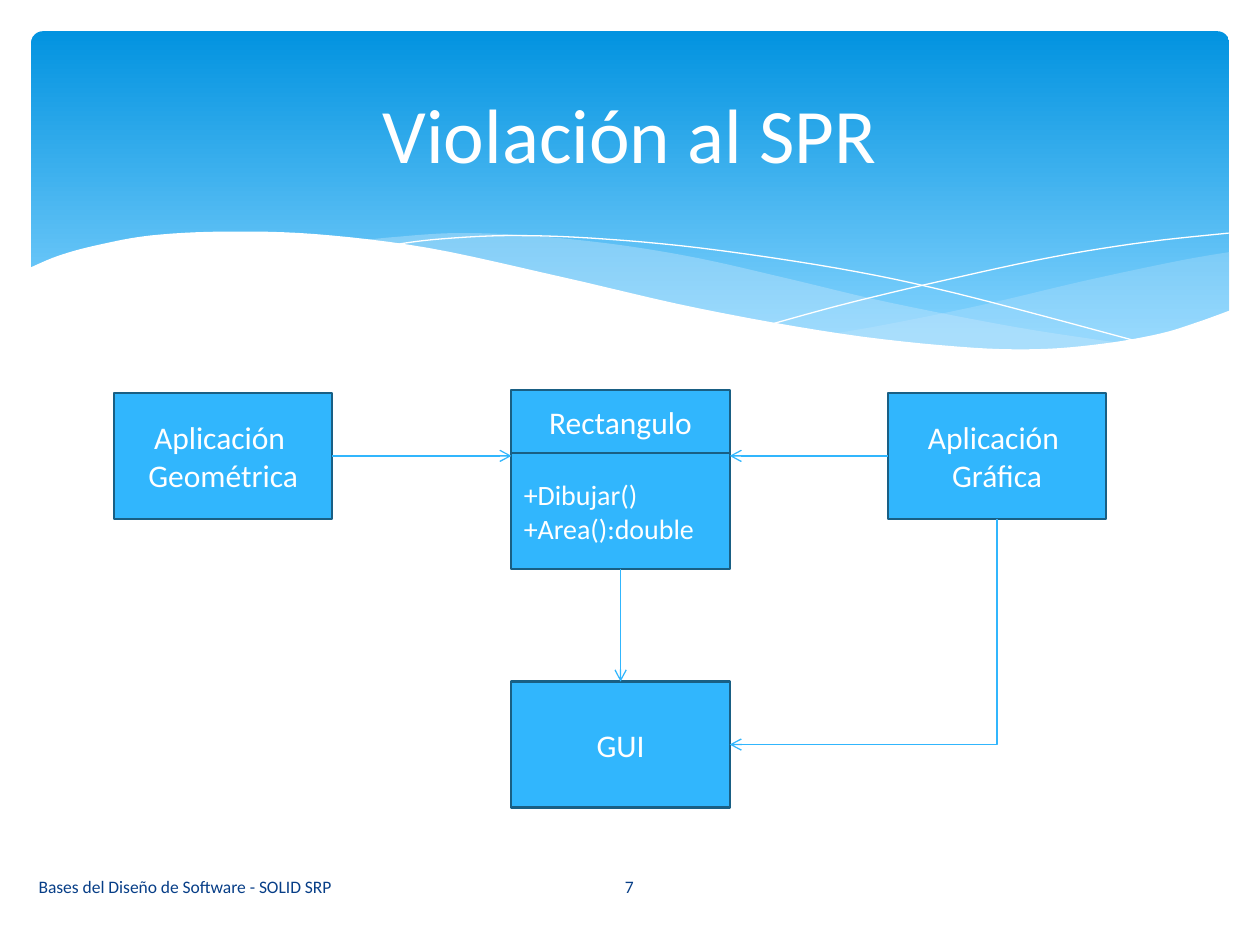
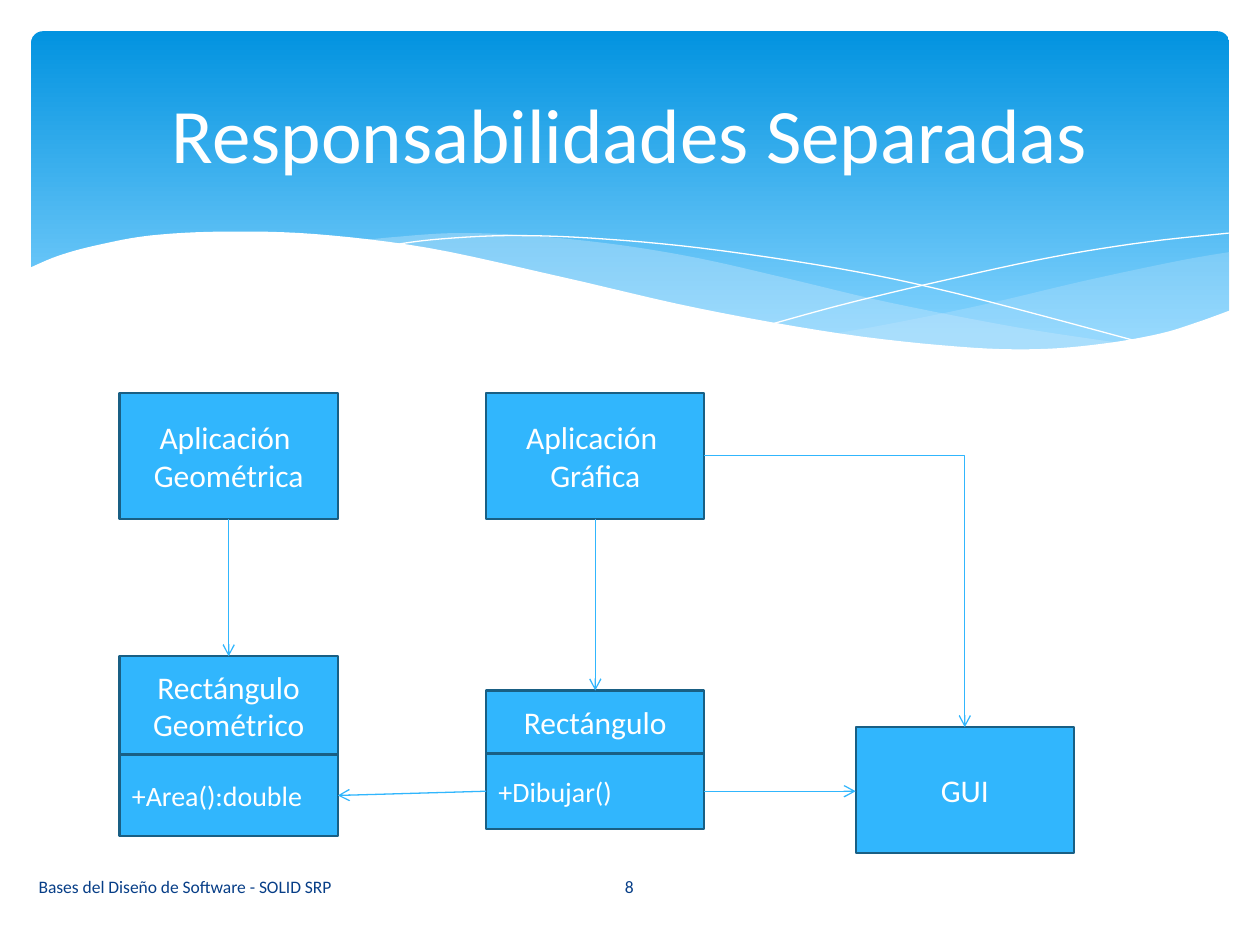
import dataclasses

import lxml.etree
import pptx
import pptx.dml.color
import pptx.enum.dml
import pptx.enum.shapes
import pptx.enum.text
import pptx.oxml.ns
import pptx.util

Cm = pptx.util.Cm
Pt = pptx.util.Pt
qn = pptx.oxml.ns.qn
Rgb = pptx.dml.color.RGBColor.from_string
Align = pptx.enum.text.PP_ALIGN
Preset = pptx.enum.shapes.MSO_SHAPE
ConnectorKind = pptx.enum.shapes.MSO_CONNECTOR

TOP, LEFT, BOTTOM, RIGHT = range(4)


@dataclasses.dataclass(frozen=True)
class Theme:
    font: str = "Calibri"
    white: str = "FFFFFF"
    band_top: str = "0293E0"
    band_bottom: str = "83D3FE"
    wave: str = "C6E7FC"
    box: str = "31B6FD"
    box_edge: str = "195F84"
    footer: str = "073E87"
    title_size: int = 44
    name_size: int = 18
    member_size: int = 16
    footer_size: int = 10
    edge_width: float = 1.25
    arrow_width: float = 0.75


THEME = Theme()
FOOTER = "Bases del Diseño de Software - SOLID SRP"
BOX_WIDTH, BOX_HEIGHT, NAME_HEIGHT = 4.4, 2.54, 1.27

RIGHT_WAVE_TOP = [(24.79, 5.08), (23.75, 5.26), (21.87, 5.66), (19.79, 6.15),
                  (17.93, 6.53), (16.79, 6.73)]
RIGHT_WAVE_BOTTOM = [(16.79, 6.73), (18.26, 6.91), (19.53, 7.04), (20.93, 7.04),
                     (22.15, 6.96), (23.19, 6.78), (24.1, 6.53), (24.79, 6.27)]
MIDDLE_WAVE_TOP = [(22.68, 6.93), (20.5, 6.6), (17.93, 6.1), (15.98, 5.64),
                   (14.1, 5.21), (12.42, 4.93), (10.67, 4.75), (9.17, 4.7),
                   (7.95, 4.78), (7.26, 4.85)]
MIDDLE_WAVE_BOTTOM = [(7.26, 4.85), (9.19, 5.16), (11.4, 5.64), (14.38, 6.3),
                      (16.51, 6.71), (18.34, 6.96), (20.22, 7.06), (21.54, 7.04),
                      (22.68, 6.93)]
FALLING_LINE = [(7.85, 4.95), (8.74, 4.83), (10.19, 4.75), (11.91, 4.8),
                (14.12, 5.0), (16.89, 5.41), (19.3, 5.92), (23.04, 6.91)]
RISING_LINE = [(15.57, 6.53), (17.07, 6.12), (19.0, 5.66), (21.23, 5.18),
               (23.11, 4.88), (24.77, 4.7)]
PAGE_EDGE = [(0.58, 5.41), (1.17, 5.16), (1.93, 4.95), (3.02, 4.75), (4.5, 4.67),
             (6.35, 4.72), (8.64, 5.0), (11.35, 5.59), (14.1, 6.22), (16.97, 6.73),
             (19.33, 6.99), (20.9, 7.04), (22.23, 6.93), (23.37, 6.73),
             (24.13, 6.5), (24.82, 6.25)]
PAGE_CORNERS = [(24.82, 8.36), (0.58, 8.36)]


def smooth_curve(knots, steps=6):
    padded = [knots[0], *knots, knots[-1]]
    points = []
    for a, b, c, d in zip(padded, padded[1:], padded[2:], padded[3:]):
        for step in range(steps):
            t = step / steps
            points.append(tuple(
                q + t * (r - p) / 2
                + t**2 * (2 * p - 5 * q + 4 * r - s) / 2
                + t**3 * (3 * q - p - 3 * r + s) / 2
                for p, q, r, s in zip(a, b, c, d)))
    return points + [knots[-1]]


def add_outline(slide, points, closed):
    corners = [(Cm(x), Cm(y)) for x, y in points]
    builder = slide.shapes.build_freeform(*corners[0])
    builder.add_line_segments(corners[1:], close=closed)
    shape = builder.convert_to_shape()
    shape.shadow.inherit = False
    return shape


def add_area(slide, points, color, opacity=100):
    shape = add_outline(slide, points, True)
    shape.line.fill.background()
    shape.fill.solid()
    shape.fill.fore_color.rgb = Rgb(color)
    if opacity < 100:
        color_element = shape.element.spPr.find(".//" + qn("a:srgbClr"))
        alpha = lxml.etree.SubElement(color_element, qn("a:alpha"))
        alpha.set("val", str(opacity * 1000))


def add_hairline(slide, knots):
    shape = add_outline(slide, smooth_curve(knots), False)
    shape.fill.background()
    shape.line.color.rgb = Rgb(THEME.white)
    shape.line.width = Pt(0)


def add_band(slide):
    band = slide.shapes.add_shape(
        Preset.ROUNDED_RECTANGLE, Cm(0.63), Cm(0.63), Cm(24.15), Cm(6.86))
    band.adjustments[0] = 0.034
    band.shadow.inherit = False
    band.line.fill.background()
    band.fill.gradient()
    band.fill.gradient_angle = 270
    colors = (THEME.band_top, THEME.band_bottom)
    for stop, color, position in zip(band.fill.gradient_stops, colors, (0, 0.9)):
        stop.color.rgb = Rgb(color)
        stop.position = position

    add_area(slide, smooth_curve(RIGHT_WAVE_TOP) + smooth_curve(RIGHT_WAVE_BOTTOM),
             THEME.wave, 29)
    add_area(slide, smooth_curve(MIDDLE_WAVE_TOP) + smooth_curve(MIDDLE_WAVE_BOTTOM),
             THEME.wave, 40)
    add_hairline(slide, FALLING_LINE)
    add_hairline(slide, RISING_LINE)
    add_area(slide, smooth_curve(PAGE_EDGE) + PAGE_CORNERS, THEME.white)


def write_lines(shape, lines, size, color, alignment):
    frame = shape.text_frame
    frame.word_wrap = True
    frame.vertical_anchor = pptx.enum.text.MSO_ANCHOR.MIDDLE
    for index, line in enumerate(lines):
        paragraph = frame.add_paragraph() if index else frame.paragraphs[0]
        paragraph.alignment = alignment
        run = paragraph.add_run()
        run.text = line
        run.font.name = THEME.font
        run.font.size = Pt(size)
        run.font.color.rgb = Rgb(color)


def add_label(slide, left, top, width, height, text, size, color, alignment):
    label = slide.shapes.add_textbox(Cm(left), Cm(top), Cm(width), Cm(height))
    write_lines(label, [text], size, color, alignment)


def add_box(slide, left, top, lines, height=BOX_HEIGHT, size=THEME.name_size,
            alignment=Align.CENTER):
    box = slide.shapes.add_shape(
        Preset.RECTANGLE, Cm(left), Cm(top), Cm(BOX_WIDTH), Cm(height))
    box.shadow.inherit = False
    box.fill.solid()
    box.fill.fore_color.rgb = Rgb(THEME.box)
    box.line.color.rgb = Rgb(THEME.box_edge)
    box.line.width = Pt(THEME.edge_width)
    write_lines(box, lines, size, THEME.white, alignment)
    return box


def add_class(slide, left, top, name, members, members_height, name_height=NAME_HEIGHT):
    name_box = add_box(slide, left, top, name, name_height)
    members_box = add_box(slide, left, top + name_height, members, members_height,
                          THEME.member_size, Align.LEFT)
    return name_box, members_box


def side_point(box, side):
    across = {LEFT: 0, RIGHT: box.width}.get(side, box.width // 2)
    down = {TOP: 0, BOTTOM: box.height}.get(side, box.height // 2)
    return box.left + across, box.top + down


def add_arrow(slide, source, source_side, target, target_side, level=False, bent=False):
    start = side_point(source, source_side)
    end = side_point(target, target_side)
    if level:
        end = end[0], start[1]
    kind = ConnectorKind.ELBOW if bent else ConnectorKind.STRAIGHT
    arrow = slide.shapes.add_connector(kind, *start, *end)
    arrow.begin_connect(source, source_side)
    if not level:
        arrow.end_connect(target, target_side)
    arrow.line.color.rgb = Rgb(THEME.box)
    arrow.line.width = Pt(THEME.arrow_width)
    line = arrow.line._get_or_add_ln()
    lxml.etree.SubElement(line, qn("a:tailEnd")).set("type", "arrow")
    lxml.etree.SubElement(arrow.element.spPr, qn("a:effectLst"))
    if bent:
        arrow.element.spPr.find(qn("a:prstGeom")).set("prst", "bentConnector2")
        if source_side == BOTTOM:
            turn_quarter(arrow)
    return arrow


def turn_quarter(arrow):
    width, height = arrow.width, arrow.height
    arrow.left += (width - height) // 2
    arrow.top += (height - width) // 2
    arrow.width, arrow.height = height, width
    transform = arrow.element.spPr.find(qn("a:xfrm"))
    transform.attrib.pop("flipH", None)
    transform.set("rot", "5400000")


def add_slide(presentation, title, number):
    slide = presentation.slides.add_slide(presentation.slide_layouts[6])
    add_band(slide)
    add_label(slide, 1.27, 0.94, 22.86, 3.48, title,
              THEME.title_size, THEME.white, Align.CENTER)
    add_label(slide, 0.53, 17.37, 10.52, 1.02, FOOTER,
              THEME.footer_size, THEME.footer, Align.LEFT)
    add_label(slide, 11.07, 17.37, 3.23, 1.02, str(number),
              THEME.footer_size, THEME.footer, Align.CENTER)
    return slide


def add_applications(slide, geometric_left, graphic_left):
    return [add_box(slide, left, 7.92, ["Aplicación ", kind])
            for left, kind in ((geometric_left, "Geométrica"), (graphic_left, "Gráfica"))]


def build_violation(presentation):
    slide = add_slide(presentation, "Violación al SPR", 7)
    geometric, graphic = add_applications(slide, 2.3, 17.9)
    gui = add_box(slide, 10.31, 13.74, ["GUI"])
    _, members = add_class(slide, 10.31, 7.87, ["Rectangulo"],
                           ["+Dibujar()", "+Area():double"], 2.34)
    add_arrow(slide, geometric, RIGHT, members, LEFT, level=True)
    add_arrow(slide, graphic, LEFT, members, RIGHT, level=True)
    add_arrow(slide, members, BOTTOM, gui, TOP)
    add_arrow(slide, graphic, BOTTOM, gui, RIGHT, bent=True)


def build_separation(presentation):
    slide = add_slide(presentation, "Responsabilidades Separadas", 8)
    geometric, graphic = add_applications(slide, 2.41, 9.8)
    gui = add_box(slide, 17.25, 14.66, ["GUI"])
    rectangle, drawing = add_class(slide, 9.8, 13.92, ["Rectángulo"],
                                   ["+Dibujar()"], 1.52)
    geometry, area = add_class(slide, 2.41, 13.23, ["Rectángulo", "Geométrico"],
                               ["+Area():double"], 1.65, 1.98)
    add_arrow(slide, geometric, BOTTOM, geometry, TOP)
    add_arrow(slide, graphic, BOTTOM, rectangle, TOP)
    add_arrow(slide, drawing, RIGHT, gui, LEFT, level=True)
    add_arrow(slide, graphic, RIGHT, gui, TOP, bent=True)
    add_arrow(slide, drawing, LEFT, area, RIGHT)


def main():
    presentation = pptx.Presentation()
    presentation.slide_width = Cm(25.4)
    presentation.slide_height = Cm(19.05)
    build_violation(presentation)
    build_separation(presentation)
    presentation.save("out.pptx")


if __name__ == "__main__":
    main()
